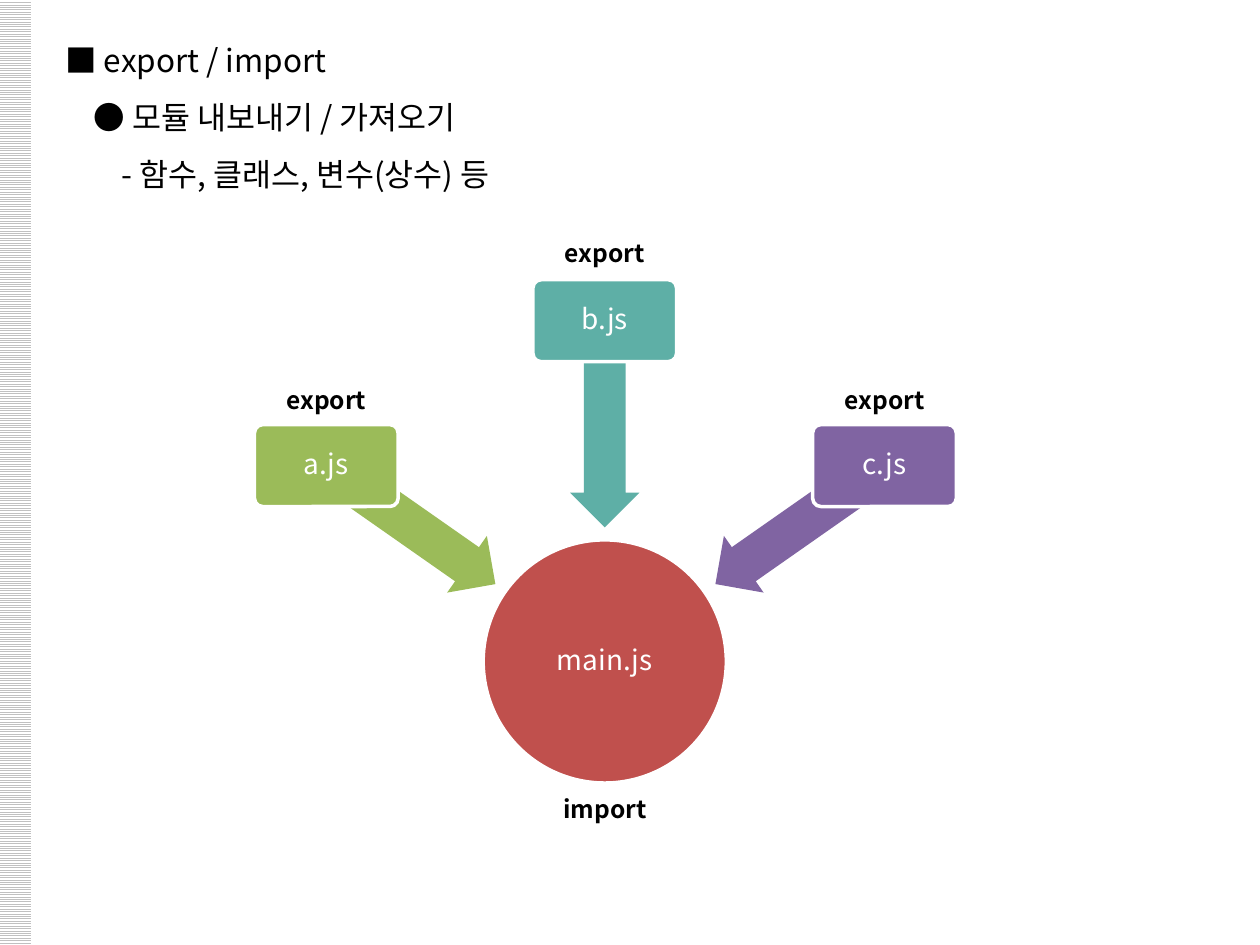
from lxml import etree
from pptx import Presentation
from pptx.dml.color import RGBColor
from pptx.enum.dml import MSO_PATTERN
from pptx.enum.shapes import MSO_SHAPE
from pptx.enum.text import MSO_ANCHOR, PP_ALIGN
from pptx.util import Inches, Pt

RECT, ROUNDED = MSO_SHAPE.RECTANGLE, MSO_SHAPE.ROUNDED_RECTANGLE
OVAL, LEFT_ARROW = MSO_SHAPE.OVAL, MSO_SHAPE.LEFT_ARROW
STRIPES = MSO_PATTERN.LIGHT_HORIZONTAL
MIDDLE, CENTER = MSO_ANCHOR.MIDDLE, PP_ALIGN.CENTER

FONT = "Noto Sans CJK KR"
COLORS = {
    "text": "000000", "white": "FFFFFF", "stripe": "C0C0C0",
    "main": "C0504D", "a": "9BBB59", "b": "5EAFA6", "c": "8064A2",
}
COLORS = {name: RGBColor.from_string(code) for name, code in COLORS.items()}

# Grid of 100 columns by 75 rows
prs = Presentation()
prs.slide_width, prs.slide_height = Inches(10), Inches(7.5)
COL, ROW = prs.slide_width / 100, prs.slide_height / 75
slide = prs.slides.add_slide(prs.slide_layouts[6])


def write(paragraph, text, size, color, bold=False):
    paragraph.text = text
    run = paragraph.runs[0]
    run.font.size, run.font.bold = Pt(size), bold
    run.font.name, run.font.color.rgb = FONT, COLORS[color]
    # Korean letters take the east Asian font
    ea = etree.SubElement(run.font._element, run.font._element.tag.replace("rPr", "ea"))
    ea.set("typeface", FONT)


def add_block(kind, x, y, cols, rows, color, text=None):
    """Shape centred on column x and row y; a block with text has a white edge."""
    block = slide.shapes.add_shape(
        kind, int((x - cols / 2) * COL), int((y - rows / 2) * ROW),
        int(cols * COL), int(rows * ROW))
    block.shadow.inherit = False
    block.fill.solid()
    block.fill.fore_color.rgb = COLORS[color]
    if text is None:
        block.line.fill.background()
        return block
    block.line.color.rgb, block.line.width = COLORS["white"], Pt(2)
    frame = block.text_frame
    frame.vertical_anchor = MIDDLE
    frame.paragraphs[0].alignment = CENTER
    frame.paragraphs[0].line_spacing = 0.9
    write(frame.paragraphs[0], text, 16, "white")
    return block


# Striped band on the left edge
band = add_block(RECT, 1.2, 37.5, 2.6, 75, "white")
band.fill.patterned()
band.fill.pattern = STRIPES
band.fill.fore_color.rgb, band.fill.back_color.rgb = COLORS["stripe"], COLORS["white"]

# Heading with two sublevels
outline = ["■ export / import", "● 모듈 내보내기 / 가져오기", "- 함수, 클래스, 변수(상수) 등"]
heading = slide.shapes.add_textbox(
    int(4.2 * COL), int(1.3 * ROW), int(41.7 * COL), int(14.1 * ROW)).text_frame
heading.word_wrap = True
for level, line in enumerate(outline):
    paragraph = heading.paragraphs[0] if level == 0 else heading.add_paragraph()
    paragraph._p.get_or_add_pPr().set("marL", str(int(level * 2.24 * COL)))
    paragraph.line_spacing = 1.5
    write(paragraph, line, 18, "text")

# Importing module
add_block(OVAL, 48, 52.5, 19.3, 19.3, "main", "main.js")
labels = [("import", 48, 64.2)]

# Exporting modules: name, box centre, arrow centre, arrow rotation, label row
modules = [
    ("a", 25.9, 36.95, 32.6, 41.65, 215, 31.8),
    ("b", 48, 25.45, 48, 33.65, 270, 20.1),
    ("c", 70.2, 36.95, 63.5, 41.65, 325, 31.8),
]
for name, x, y, arrow_x, arrow_y, rotation, label_y in modules:
    arrow = add_block(LEFT_ARROW, arrow_x, arrow_y, 16.4, 5.5, name)
    arrow.rotation = rotation
    arrow.adjustments[0], arrow.adjustments[1] = 0.6, 0.5
    box = add_block(ROUNDED, x, y, 11.4, 6.5, name, f"{name}.js")
    box.adjustments[0] = 0.1
    labels.append(("export", x, label_y))

# Role labels
for role, x, y in labels:
    label = slide.shapes.add_textbox(
        int((x - 4.6) * COL), int((y - 1.7) * ROW), int(9.2 * COL), int(3.4 * ROW)).text_frame
    label.word_wrap = True
    label.paragraphs[0].alignment = CENTER
    write(label.paragraphs[0], role, 14, "text", bold=True)

prs.save("out.pptx")
